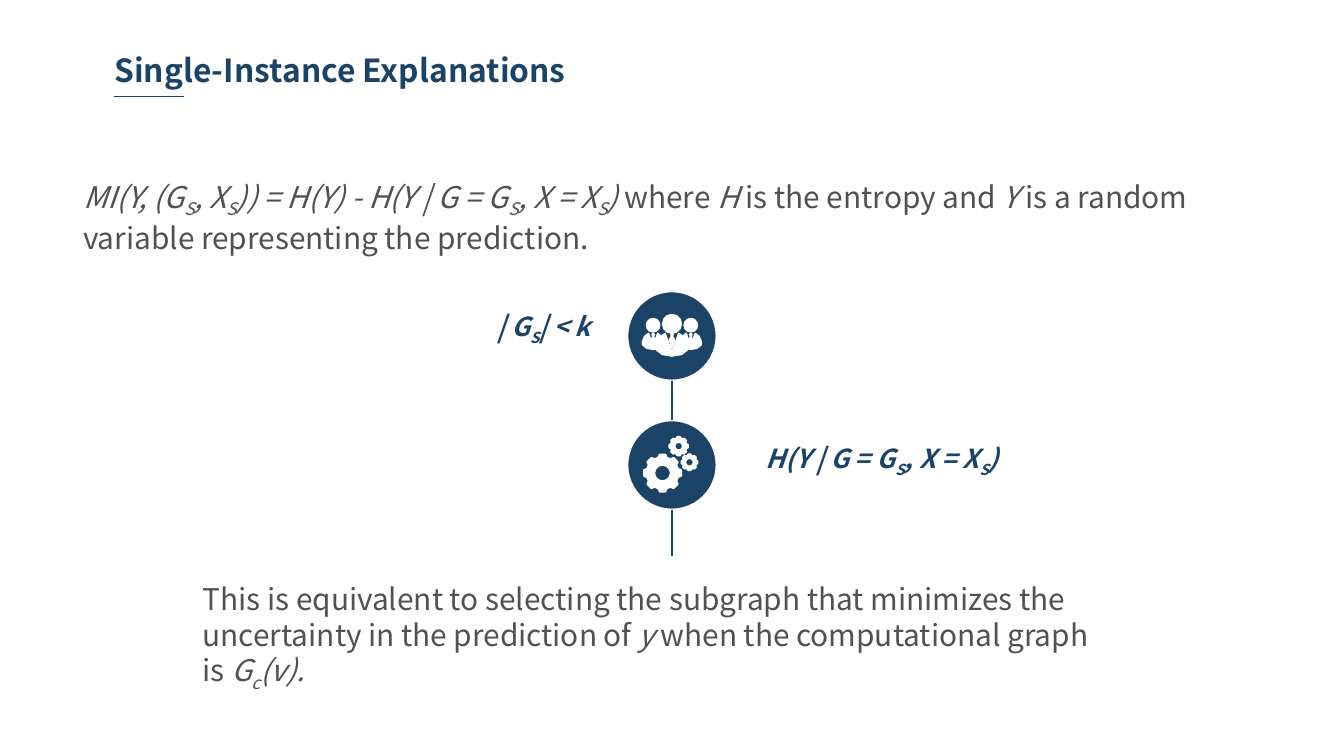
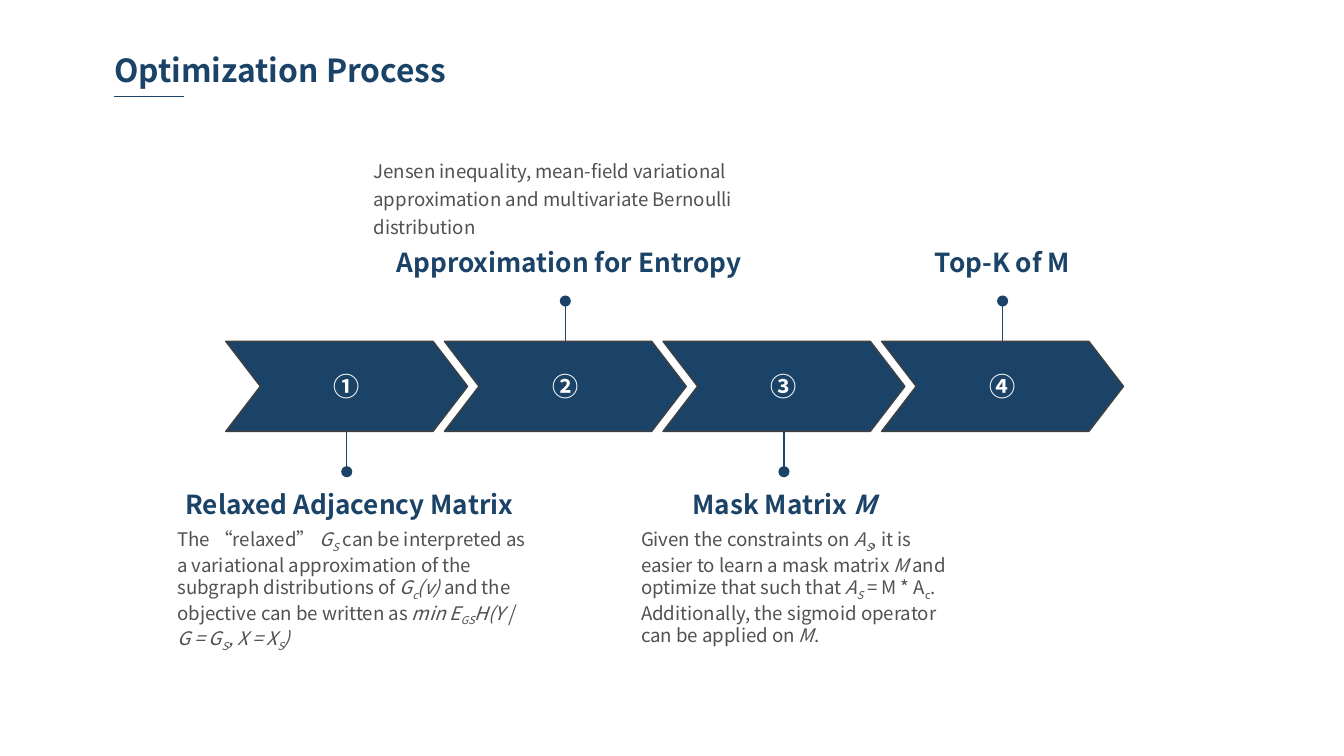
from math import cos, pi, sin

from lxml import etree
from pptx import Presentation
from pptx.dml.color import RGBColor
from pptx.enum.shapes import MSO_CONNECTOR, MSO_SHAPE
from pptx.enum.text import MSO_ANCHOR, MSO_AUTO_SIZE, PP_ALIGN
from pptx.oxml.ns import qn
from pptx.util import Inches, Pt

NAVY = RGBColor(0x1B, 0x43, 0x67)
GREY = RGBColor(0x51, 0x51, 0x51)
OUTLINE = RGBColor(0x40, 0x40, 0x40)
WHITE = RGBColor(0xFF, 0xFF, 0xFF)
FONT = "Noto Sans CJK SC"
NBSP = chr(160)  # written ~ in the content
LEFT, CENTER, RIGHT = PP_ALIGN.LEFT, PP_ALIGN.CENTER, PP_ALIGN.RIGHT
TOP, MIDDLE = MSO_ANCHOR.TOP, MSO_ANCHOR.MIDDLE
GROW = MSO_AUTO_SIZE.SHAPE_TO_FIT_TEXT
STRAIGHT = MSO_CONNECTOR.STRAIGHT
OVAL, CHEVRON = MSO_SHAPE.OVAL, MSO_SHAPE.CHEVRON
WIDE, TIGHT = (0.1, 0.05), (0.07, 0.04)  # text insets

# Content: a run is (text, flags), with i for italic and s for subscript
ENTROPY = [("H(Y | G = G", "i"), ("S", "is"), (", X = X", "i"), ("S", "is"), (")", "i")]

MUTUAL_INFO = [
    ("MI(Y, (G", "i"), ("S", "is"), (", X", "i"), ("S", "is"),
    (")) = H(Y) - H(Y | G = G", "i"), ("S", "is"), (", X = X", "i"), ("S", "is"), (")", "i"),
    ("~where~", ""), ("H", "i"), ("~is the entropy and~", ""), ("Y", "i"),
    ("~is a random variable representing the prediction.", ""),
]
SIZE_LIMIT = [("| G", "i"), ("S", "is"), ("| < k", "i")]
EQUIVALENCE = [
    ("This is equivalent to selecting the subgraph that minimizes the uncertainty "
     "in the prediction of~", ""),
    ("y", "i"), ("~when the computational graph is~", ""),
    ("G", "i"), ("c", "is"), ("(v).", "i"),
]
RELAXED = [
    ("The “relaxed”~", ""), ("G", "i"), ("S", "is"),
    ("~can be interpreted as a variational approximation of the subgraph "
     "distributions of~", ""),
    ("G", "i"), ("c", "is"), ("(v)", "i"), ("~and the objective can be written as~", ""),
    ("min E", "i"), ("GS", "is"), *ENTROPY,
]
JENSEN = [("Jensen inequality, mean-field variational approximation and "
           "multivariate Bernoulli distribution", "")]
MASK = [
    ("Given the constraints on~", ""), ("A", "i"), ("S", "is"),
    (", it is easier to learn a mask matrix~", ""), ("M", "i"),
    ("~and optimize that such that~", ""), ("A", "i"), ("S", "is"),
    ("~= M * A", ""), ("c", "s"),
    (". Additionally, the sigmoid operator can be applied on~", ""), ("M", "i"), (".", ""),
]
# number, heading, heading left and width, below the band?
STEPS = [
    ("①", [("Relaxed Adjacency Matrix", "")], 1.25, 2.7, True),
    ("②", [("Approximation for Entropy", "")], 2.82, 2.83, False),
    ("③", [("Mask Matrix ", ""), ("M", "i")], 5.01, 1.65, True),
    ("④", [("Top-K of M", "")], 6.83, 1.26, False),
]
# runs, box, line spacing
DETAILS = [
    (RELAXED, (1.25, 3.89, 2.76, 0.92), None),
    (JENSEN, (2.71, 1.11, 3.06, 0.69), 15),
    (MASK, (4.7, 3.89, 2.45, 1.09), None),
]
# Icons: centre x, head top and size, body half width and height, notch depth
PEOPLE = [
    (4.86, 2.37, 0.1, 0.08, 0.12, 0.8),
    (5.14, 2.37, 0.1, 0.08, 0.12, 0.8),
    (5, 2.34, 0.14, 0.12, 0.17, 0.82),
]
BODY_TOP = 2.48
# centre x, centre y, radius, hole radius
GEARS = [(4.93, 3.52, 0.14, 0.06), (5.05, 3.32, 0.07, 0.03), (5.13, 3.44, 0.06, 0.03)]
DISC_X, DISC_SIZE = 5, 0.66
DISC_YS = (2.5, 3.46)

BAND_LEFT, BAND_TOP = 1.68, 2.54
BAND_STEP = (6.56 - BAND_LEFT) / (len(STEPS) - 1)
CHEVRON_W, CHEVRON_H = 1.8, 0.67


def write(shape, runs, size, color, bold=False, align=LEFT, insets=WIDE,
          spacing=None, anchor=TOP, wrap=True, grow=True):
    tf = shape.text_frame
    tf.word_wrap = wrap
    tf.vertical_anchor = anchor
    tf.margin_left = tf.margin_right = Inches(insets[0])
    tf.margin_top = tf.margin_bottom = Inches(insets[1])
    if grow:
        tf.auto_size = GROW
    p = tf.paragraphs[0]
    p.alignment = align
    if spacing:
        p.line_spacing = Pt(spacing)
    for text, flags in runs:
        r = p.add_run()
        r.text = text.replace("~", NBSP)
        r.font.size, r.font.name = Pt(size), FONT
        r.font.bold, r.font.italic = bold, "i" in flags
        r.font.color.rgb = color
        rpr = r.font._element
        etree.SubElement(rpr, qn("a:ea")).set("typeface", FONT)
        if "s" in flags:
            rpr.set("baseline", "-25000")


def add_text(s, box, runs, size, color, **options):
    write(s.shapes.add_textbox(*map(Inches, box)), runs, size, color, **options)


def add_line(s, x1, y1, x2, y2, dot=False):
    line = s.shapes.add_connector(STRAIGHT, *map(Inches, (x1, y1, x2, y2)))
    line.line.color.rgb = NAVY
    line.line.width = Pt(0.75)
    if dot:
        etree.SubElement(line.line._get_or_add_ln(), qn("a:tailEnd")).set("type", "oval")
    etree.SubElement(line._element.spPr, qn("a:effectLst"))


def paint(shape, fill, outline, width=0.75):
    shape.shadow.inherit = False
    shape.fill.solid()
    shape.fill.fore_color.rgb = fill
    shape.line.color.rgb = outline
    shape.line.width = Pt(width)


def add_oval(group, left, top, size, fill):
    paint(group.shapes.add_shape(OVAL, *map(Inches, (left, top, size, size))), fill, WHITE)


def add_outline(group, contours, width=0.75):
    emu = [[(Inches(x), Inches(y)) for x, y in points] for points in contours]
    builder = group.shapes.build_freeform(*emu[0][0], scale=1.0)
    for i, points in enumerate(emu):
        if i:
            builder.move_to(*points[0])
        builder.add_line_segments(points[1:], close=True)
    paint(builder.convert_to_shape(), WHITE, WHITE, width)


def add_disc(s, cy):
    group = s.shapes.add_group_shape()
    add_oval(group, DISC_X - DISC_SIZE / 2, cy - DISC_SIZE / 2, DISC_SIZE, NAVY)
    return group


def add_person(group, cx, head_top, head, half, height, notch):
    add_oval(group, cx - head / 2, head_top, head, WHITE)
    right = [(0.42, 0), (0.8, 0.2), (1, 0.55), (0.98, 0.72), (0.6, 0.93)]
    left = [(-x, y) for x, y in reversed(right)]
    body = [(0, notch), *right, (0, 1), *left]
    add_outline(group, [[(cx + x * half, BODY_TOP + y * height) for x, y in body]])
    # Tie: knot and blade
    knot = [(0, 0), (0.01, 0.01), (0, 0.02), (-0.01, 0.01)]
    w, end = half / 6, height * 0.64
    blade = [(0, 0.02), (w / 2, 0.03), (w, 0.05), (0, end), (-w, 0.05), (-w / 2, 0.03)]
    for part in (knot, blade):
        add_outline(group, [[(cx + x, BODY_TOP + y) for x, y in part]])


def add_gear(group, cx, cy, radius, hole, teeth=8):
    def at(r, angle):
        return cx + r * cos(angle), cy + r * sin(angle)

    pitch = 2 * pi / teeth
    profile = [(-0.33, 0.85), (-0.2, 1), (0.2, 1), (0.33, 0.85)]
    rim = [at(radius * k, (i + a) * pitch) for i in range(teeth) for a, k in profile]
    bore = [at(hole, i * pi / 12) for i in range(24)]
    add_outline(group, [rim, bore], 1)


def add_slide(prs, title, width):
    s = prs.slides.add_slide(prs.slide_layouts[5])
    sp = s.shapes.title
    sp.left, sp.top, sp.width, sp.height = map(Inches, (0.78, 0.34, width, 0.36))
    write(sp, [(title, "")], 17, NAVY, bold=True, insets=TIGHT)
    add_line(s, 0.85, 0.72, 1.37, 0.72)
    return s


def build_explanations(prs):
    s = add_slide(prs, "Single-Instance Explanations", 3.65)
    add_text(s, (0.52, 1.28, 8.95, 0.64), MUTUAL_INFO, 16, GREY)

    # Icons on a vertical line
    add_line(s, DISC_X, 2.62, DISC_X, 4.14)
    people, gears = [add_disc(s, cy) for cy in DISC_YS]
    for person in PEOPLE:
        add_person(people, *person)
    for gear in GEARS:
        add_gear(gears, *gear)

    # Formulas beside the icons
    for runs, box in ((SIZE_LIMIT, (3.04, 2.32, 1.45, 0.31)),
                      (ENTROPY, (5.28, 3.3, 2.25, 0.31))):
        add_text(s, box, runs, 14, NAVY, bold=True, align=RIGHT, spacing=15)
    add_text(s, (1.41, 4.27, 7.16, 0.91), EQUIVALENCE, 16, GREY)


def build_process(prs):
    s = add_slide(prs, "Optimization Process", 3.11)

    # Chevrons with their pins and headings
    for i, (number, heading, left, width, below) in enumerate(STEPS):
        x = BAND_LEFT + i * BAND_STEP
        sp = s.shapes.add_shape(CHEVRON, *map(Inches, (x, BAND_TOP, CHEVRON_W, CHEVRON_H)))
        sp.adjustments[0] = 0.384
        paint(sp, NAVY, OUTLINE)
        write(sp, [(number, "")], 14, WHITE, bold=True, align=CENTER,
              insets=TIGHT, anchor=MIDDLE, grow=False)
        mid = x + CHEVRON_W / 2
        start = BAND_TOP + CHEVRON_H if below else BAND_TOP
        add_line(s, mid, start, mid, start + (0.3 if below else -0.3), dot=True)
        add_text(s, (left, 3.59 if below else 1.79, width, 0.31), heading, 14, NAVY,
                 bold=True, align=CENTER, insets=TIGHT, wrap=False)

    for runs, box, spacing in DETAILS:
        add_text(s, box, runs, 10, GREY, insets=TIGHT, spacing=spacing)


def main():
    prs = Presentation()
    prs.slide_width = Inches(10)
    prs.slide_height = prs.slide_width * 9 // 16
    build_explanations(prs)
    build_process(prs)
    prs.save("out.pptx")


if __name__ == "__main__":
    main()
